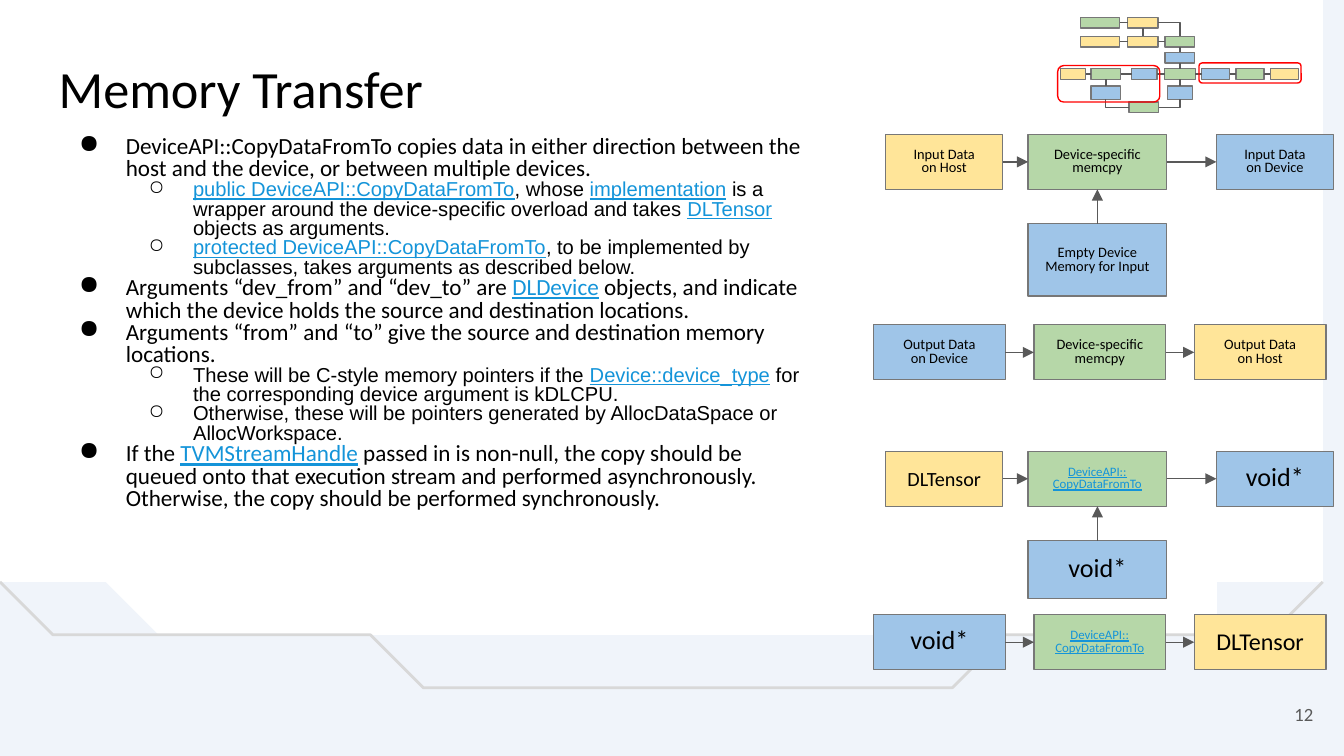
from lxml.etree import SubElement
from pptx import Presentation
from pptx.dml.color import RGBColor
from pptx.enum.shapes import MSO_CONNECTOR, MSO_SHAPE
from pptx.enum.text import MSO_ANCHOR, PP_ALIGN
from pptx.oxml.ns import qn
from pptx.util import Cm, Pt

BLACK, GRAY, LINK, RED = "000000", "595959", "1494D9", "FF0000"
YELLOW, GREEN, BLUE, WHITE = "FFE599", "B6D7A8", "9FC5E8", "FFFFFF"
TOP, LEFT, BOTTOM, RIGHT = range(4)


def color(value):
    return RGBColor.from_string(value)


def bezier(start, first, second, end, steps=24):
    """Points on a cubic curve, without its start."""
    points = []
    for step in range(1, steps + 1):
        t = step / steps
        weights = (1 - t) ** 3, 3 * t * (1 - t) ** 2, 3 * t * t * (1 - t), t ** 3
        corners = start, first, second, end
        points.append(tuple(sum(w * c[axis] for w, c in zip(weights, corners))
                            for axis in (0, 1)))
    return points


class SlideBuilder:
    font, outline, line_width, inset = "Calibri", "777777", Pt(0.75), Cm(0.25)

    def __init__(self, slide):
        self.slide = slide
        self.shapes = slide.shapes

    def paint(self, shape, fill, line, width=None):
        shape.shadow.inherit = False
        if fill:
            shape.fill.solid()
            shape.fill.fore_color.rgb = color(fill)
        else:
            shape.fill.background()
        if line:
            shape.line.color.rgb = color(line)
            shape.line.width = width or self.line_width
        else:
            shape.line.fill.background()
        return shape

    def outline_shape(self, points, fill, line=None, width=None, close=True):
        builder = self.shapes.build_freeform(*points[0], scale=Cm(1))
        builder.add_line_segments(points[1:], close=close)
        return self.paint(builder.convert_to_shape(), fill, line, width)

    def frame(self, shape, anchor):
        frame = shape.text_frame
        frame.word_wrap = True
        frame.vertical_anchor = anchor
        frame.margin_left = frame.margin_right = self.inset
        frame.margin_top = frame.margin_bottom = self.inset
        return frame

    def style(self, para, size, ink, spacing=None, align=None, name=None):
        para.alignment = align
        para.line_spacing = spacing
        para.font.size = Pt(size)
        para.font.name = name or self.font
        para.font.color.rgb = color(ink)

    def box(self, left, top, width, height, fill, label=None, size=7.7,
            spacing=0.8, link=False):
        box = self.shapes.add_shape(MSO_SHAPE.RECTANGLE, Cm(left), Cm(top), Cm(width), Cm(height))
        self.paint(box, fill, self.outline)
        if label:
            para = self.frame(box, MSO_ANCHOR.MIDDLE).paragraphs[0]
            para.text = label
            self.style(para, size, LINK if link else BLACK, spacing, PP_ALIGN.CENTER)
            para.font.underline = link
        return box

    def highlight(self, left, top, width, height):
        ring = self.shapes.add_shape(MSO_SHAPE.ROUNDED_RECTANGLE,
                                     Cm(left), Cm(top), Cm(width), Cm(height))
        self.paint(ring, None, RED)

    def text_frame(self, left, top, width, height, anchor=MSO_ANCHOR.TOP):
        box = self.shapes.add_textbox(Cm(left), Cm(top), Cm(width), Cm(height))
        return self.frame(box, anchor)

    def text(self, left, top, width, height, text, size, ink, anchor, align):
        para = self.text_frame(left, top, width, height, anchor).paragraphs[0]
        para.text = text
        self.style(para, size, ink, align=align)

    def bullets(self, left, top, width, height, items):
        """Each item is a level and a text whose links stand between bars."""
        frame = self.text_frame(left, top, width, height)
        for index, (level, text) in enumerate(items):
            para = frame.add_paragraph() if index else frame.paragraphs[0]
            para.level = level
            properties = para._p.get_or_add_pPr()
            properties.set("marL", str(Cm(2.54 if level else 1.27)))
            properties.set("indent", str(-Cm(0.84 if level else 0.89)))
            para.line_spacing = 0.8
            ink = SubElement(properties, qn("a:buClr"))
            SubElement(ink, qn("a:srgbClr"), val=BLACK)
            if not level:
                SubElement(properties, qn("a:buSzPct"), val="112000")
            SubElement(properties, qn("a:buChar"), char="○" if level else "●")
            self.style(para, 10.8 if level else 12.4, BLACK, 0.8,
                       name="Arial" if level else self.font)
            for part, words in enumerate(text.split("|")):
                if words:
                    span = para.add_run()
                    span.text = words
                    if part % 2:
                        span.font.color.rgb = color(LINK)
                        span.font.underline = True

    def connector(self, kind, *ends):
        line = self.shapes.add_connector(kind, *ends)
        line.line.color.rgb = color(GRAY)
        line.line.width = self.line_width
        SubElement(line._element.spPr, qn("a:effectLst"))
        return line

    def join(self, begin, begin_side, end, end_side, arrow=False):
        line = self.connector(MSO_CONNECTOR.STRAIGHT, 0, 0, 0, 0)
        line.begin_connect(begin, begin_side)
        line.end_connect(end, end_side)
        if arrow:
            SubElement(line.line._get_or_add_ln(), qn("a:tailEnd"), type="triangle")

    def chain(self, boxes, arrow=False):
        for begin, end in zip(boxes, boxes[1:]):
            self.join(begin, RIGHT, end, LEFT, arrow)

    def elbow(self, *ends):
        line = self.connector(MSO_CONNECTOR.ELBOW, *map(Cm, ends))
        line._element.spPr.find(qn("a:prstGeom")).set("prst", "bentConnector2")

    def input_flow(self, top, source, copy_step, target, memory, memory_height):
        boxes = [self.box(left, top, width, 1.04, fill, **label) for left, width, fill, label in (
            (16.74, 2.21, YELLOW, source), (19.43, 2.62, GREEN, copy_step),
            (22.99, 2.21, BLUE, target))]
        self.chain(boxes, arrow=True)
        below = self.box(19.43, top + 1.69, 2.62, memory_height, BLUE, **memory)
        self.join(below, TOP, boxes[1], BOTTOM, arrow=True)

    def output_flow(self, top, *labels):
        self.chain([self.box(16.51 + 3.03 * column, top, 2.49, 1.04, fill, **label)
                    for column, (fill, label) in enumerate(zip((BLUE, GREEN, YELLOW), labels))],
                   arrow=True)


deck = Presentation()
deck.slide_width, deck.slide_height = Cm(25.4), Cm(14.29)
page = SlideBuilder(deck.slides.add_slide(deck.slide_layouts[6]))

# Background with curved edge
page.slide.background.fill.solid()
page.slide.background.fill.fore_color.rgb = color("F0F4FA")
edge = [(0, 0), (25.4, 0), (25.4, 10.95), (25.2, 11.02)]
edge += bezier(edge[-1], (22.48, 11.81), (17.91, 12.34), (12.7, 12.34))
edge += bezier(edge[-1], (7.49, 12.34), (2.92, 11.81), (0.2, 11.02))
page.outline_shape(edge + [(0, 10.95)], WHITE)
arc = [(0, 11.28)]
arc += bezier(arc[-1], (3.38, 12.24), (8.56, 12.7), (12.8, 12.73))
arc += bezier(arc[-1], (17.02, 12.73), (21.51, 12.32), (25.4, 11.28))
page.outline_shape(arc, None, "D8D8D8", Pt(1.5), close=False)

# Overview map: top, height and (left, width, fill) of the boxes in each row
rows = [
    (0.33, 0.2, [(20.42, 0.74, GREEN), (21.31, 0.58, YELLOW)]),
    (0.69, 0.2, [(20.42, 0.74, YELLOW), (21.31, 0.58, YELLOW), (22.02, 0.56, GREEN)]),
    (0.99, 0.2, [(22.02, 0.56, BLUE)]),
    (1.3, 0.2, [(20.04, 0.48, YELLOW), (20.62, 0.56, GREEN), (21.39, 0.48, BLUE),
                (22.01, 0.58, GREEN), (22.71, 0.53, BLUE), (23.36, 0.53, GREEN),
                (24.01, 0.53, YELLOW)]),
    (1.63, 0.25, [(20.62, 0.56, BLUE), (22.06, 0.48, BLUE)]),
    (1.93, 0.2, [(21.34, 0.56, GREEN)]),
]
grid = [[page.box(left, top, width, height, fill) for left, width, fill in boxes]
        for top, height, boxes in rows]
for row in grid[:2] + grid[3:4]:
    page.chain(row)
for upper, lower in ((grid[0][1], grid[1][1]), (grid[1][2], grid[2][0]),
                     (grid[2][0], grid[3][3]), (grid[3][1], grid[4][0]),
                     (grid[3][3], grid[4][1])):
    page.join(upper, BOTTOM, lower, TOP)
page.elbow(21.89, 0.43, 22.3, 0.69)
page.elbow(21.34, 2.03, 20.9, 1.88)
page.elbow(21.9, 2.03, 22.3, 1.88)
page.highlight(19.99, 1.24, 1.93, 0.69)
page.highlight(22.66, 1.19, 1.93, 0.38)

# Title, explanation and page number
page.text(0.86, 0.81, 18.5, 1.6, "Memory Transfer", 28, BLACK, MSO_ANCHOR.TOP, PP_ALIGN.LEFT)
page.bullets(0.86, 2.34, 14.71, 8.89, [
    (0, "DeviceAPI::CopyDataFromTo copies data in either direction between the host and "
        "the device, or between multiple devices."),
    (1, "|public DeviceAPI::CopyDataFromTo|, whose |implementation| is a wrapper around the "
        "device-specific overload and takes |DLTensor| objects as arguments."),
    (1, "|protected DeviceAPI::CopyDataFromTo|, to be implemented by subclasses, takes "
        "arguments as described below."),
    (0, "Arguments “dev_from” and “dev_to” are |DLDevice| objects, and indicate which the "
        "device holds the source and destination locations."),
    (0, "Arguments “from” and “to” give the source and destination memory locations."),
    (1, "These will be C-style memory pointers if the |Device::device_type| for the "
        "corresponding device argument is kDLCPU."),
    (1, "Otherwise, these will be pointers generated by AllocDataSpace or AllocWorkspace."),
    (0, "If the |TVMStreamHandle| passed in is non-null, the copy should be queued onto that "
        "execution stream and performed asynchronously. Otherwise, the copy should be "
        "performed synchronously."),
])
page.text(23.55, 12.95, 1.52, 1.09, "12", 10, GRAY, MSO_ANCHOR.MIDDLE, PP_ALIGN.RIGHT)

# Data flows, then the same flows with their types
memcpy = dict(label="Device-specific memcpy")
copy_call = dict(label="DeviceAPI::\nCopyDataFromTo", size=6.9, link=True)
pointer = dict(label="void*", size=14)
page.input_flow(2.54, dict(label="Input Data\non Host"), memcpy,
                dict(label="Input Data\non Device"),
                dict(label="Empty Device Memory for Input"), 1.37)
page.output_flow(6.14, dict(label="Output Data\non Device"), memcpy,
                 dict(label="Output Data\non Host"))
page.input_flow(8.53, dict(label="DLTensor", size=10.8, spacing=1.0), copy_call,
                pointer, dict(pointer, spacing=0.9), 1.09)
page.output_flow(11.62, pointer, copy_call, dict(label="DLTensor", size=12.9, spacing=0.9))

deck.save("out.pptx")
